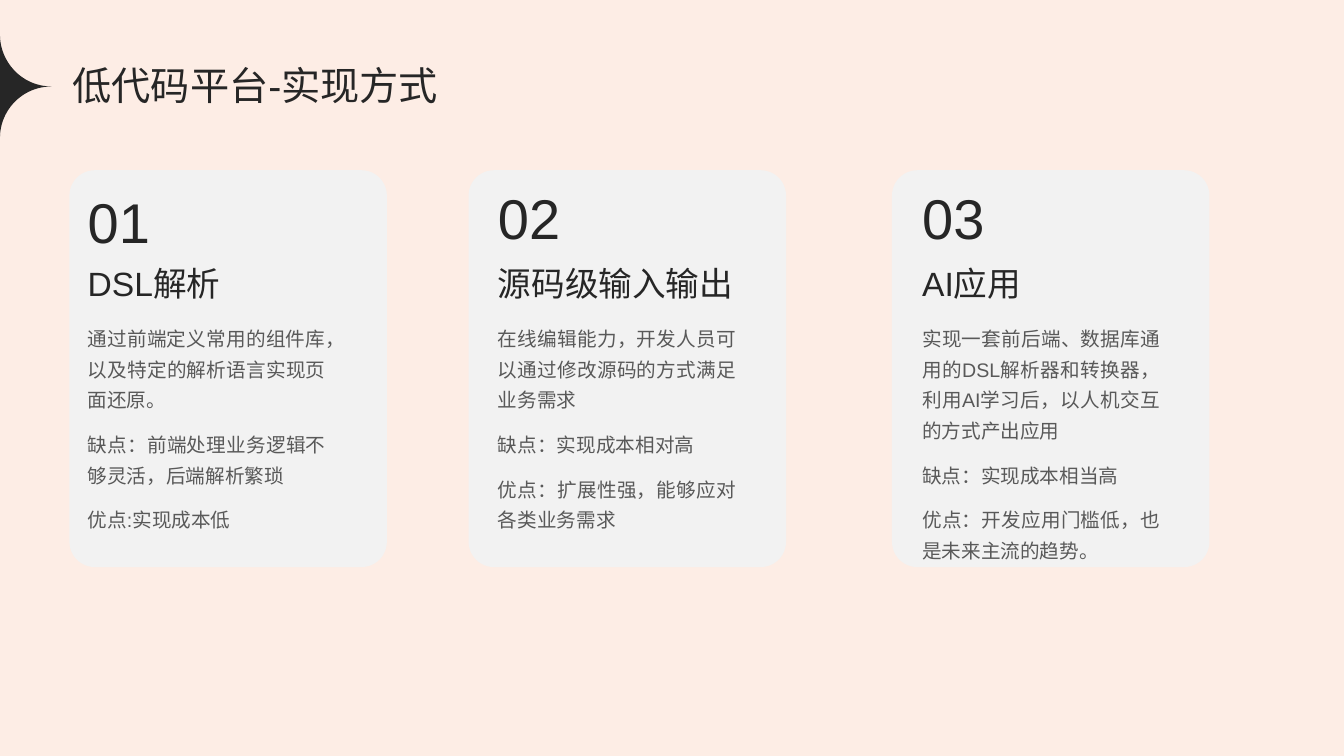
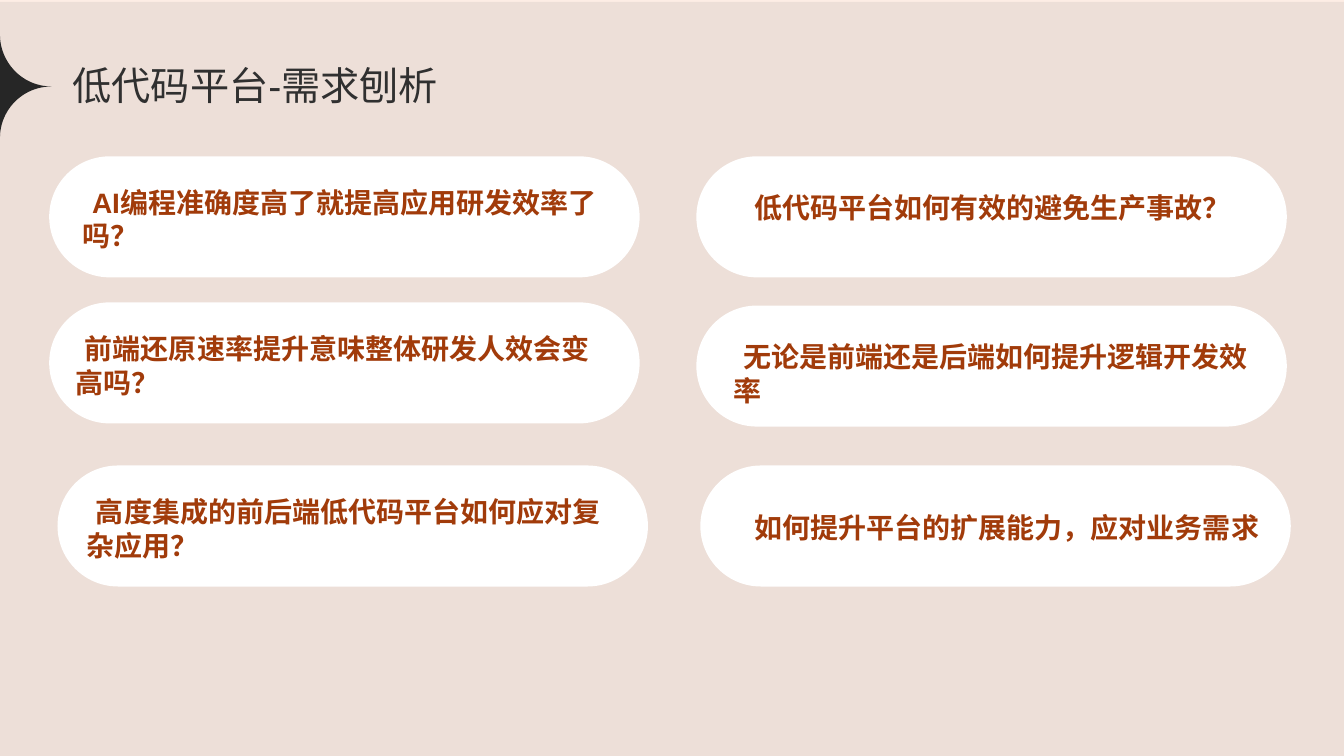
from dataclasses import dataclass

from lxml.etree import SubElement
from pptx import Presentation
from pptx.dml.color import RGBColor
from pptx.enum.lang import MSO_LANGUAGE_ID
from pptx.enum.shapes import MSO_SHAPE
from pptx.enum.text import MSO_ANCHOR, MSO_AUTO_SIZE, PP_ALIGN
from pptx.oxml.ns import qn
from pptx.util import Cm, Pt


@dataclass(frozen=True)
class Theme:
    font: str = "Arial"
    background: str = "FDEDE5"
    ink: str = "262626"
    body: str = "595959"
    accent: str = "A13B0A"
    card: str = "F2F2F2"
    pill: str = "FFFFFF"
    veil: str = "808080"
    title_size: int = 28
    number_size: int = 40
    heading_size: int = 24
    body_size: int = 14
    question_size: int = 20


WIDTH, HEIGHT = 33.87, 19.05
CARD_TOP, CARD_WIDTH, CARD_HEIGHT = 4.29, 8, 10
PILL_WIDTH, PILL_HEIGHT = 14.88, 3.05

# Card left, text left, number top, number, heading, paragraphs
CARDS = [
    (1.75, 2.21, 4.72, "01", "DSL解析", [
        "通过前端定义常用的组件库，以及特定的解析语言实现页面还原。",
        "缺点：前端处理业务逻辑不够灵活，后端解析繁琐",
        "优点:实现成本低"]),
    (11.81, 12.55, 4.62, "02", "源码级输入输出", [
        "在线编辑能力，开发人员可以通过修改源码的方式满足业务需求",
        "缺点：实现成本相对高",
        "优点：扩展性强，能够应对各类业务需求"]),
    (22.48, 23.24, 4.62, "03", "AI应用", [
        "实现一套前后端、数据库通用的DSL解析器和转换器，利用AI学习后，以人机交互的方式产出应用",
        "缺点：实现成本相当高",
        "优点：开发应用门槛低，也是未来主流的趋势。"]),
]

# Pill left and top, text left and top, question
QUESTIONS = [
    (1.24, 3.94, 1.83, 4.45, "AI编程准确度高了就提高应用研发效率了吗？"),
    (1.24, 7.62, 1.65, 8.14, "前端还原速率提升意味整体研发人效会变高吗？"),
    (1.45, 11.73, 1.93, 12.25, "高度集成的前后端低代码平台如何应对复杂应用？"),
    (17.55, 3.94, 18.52, 4.15, "低代码平台如何有效的避免生产事故？"),
    (17.55, 7.7, 18.24, 8.34, "无论是前端还是后端如何提升逻辑开发效率"),
    (17.65, 11.73, 18.52, 12.23, "如何提升平台的扩展能力，应对业务需求"),
]


def bezier(p0, p1, p2, p3, steps=24):
    """Points along a cubic curve, without its start."""
    for i in range(1, steps + 1):
        t = i / steps
        u = 1 - t
        yield tuple(u**3 * a + 3 * u * u * t * b + 3 * u * t * t * c + t**3 * d
                    for a, b, c, d in zip(p0, p1, p2, p3))


class Deck:
    def __init__(self, theme):
        self.theme = theme
        self.prs = Presentation()
        self.prs.slide_width, self.prs.slide_height = Cm(WIDTH), Cm(HEIGHT)
        self.s = None

    def add_slide(self):
        self.s = self.prs.slides.add_slide(self.prs.slide_layouts[5])
        fill = self.s.background.fill
        fill.solid()
        fill.fore_color.rgb = RGBColor.from_string(self.theme.background)

    def paint(self, sp, color, alpha=None):
        sp.shadow.inherit = False
        sp.line.fill.background()
        sp.fill.solid()
        sp.fill.fore_color.rgb = RGBColor.from_string(color)
        if alpha is not None:
            clr = sp.fill._xPr.find(qn("a:solidFill"))[0]
            SubElement(clr, qn("a:alpha")).set("val", str(alpha * 1000))

    def style_text(self, sp, paragraphs, size, color, bold=False,
                   anchor=MSO_ANCHOR.TOP, margins=(0, 0)):
        tf = sp.text_frame
        tf.word_wrap = True
        tf.auto_size = MSO_AUTO_SIZE.NONE
        tf.vertical_anchor = anchor
        tf.margin_left = tf.margin_right = Cm(margins[0])
        tf.margin_top = tf.margin_bottom = Cm(margins[1])
        tf.text = "\n".join(paragraphs)
        for p in tf.paragraphs:
            p.alignment = PP_ALIGN.LEFT
            for r in p.runs:
                font = r.font
                font.name, font.size, font.bold = self.theme.font, Pt(size), bold
                font.language_id = MSO_LANGUAGE_ID.SIMPLIFIED_CHINESE
                font.color.rgb = RGBColor.from_string(color)
                SubElement(font._element, qn("a:ea")).set("typeface", self.theme.font)
        return tf

    def text(self, left, top, width, height, paragraphs, size, color, **style):
        sp = self.s.shapes.add_textbox(Cm(left), Cm(top), Cm(width), Cm(height))
        return self.style_text(sp, paragraphs, size, color, **style)

    def shape(self, kind, left, top, width, height, color, radius=None, alpha=None):
        sp = self.s.shapes.add_shape(kind, Cm(left), Cm(top), Cm(width), Cm(height))
        if radius is not None:
            sp.adjustments[0] = radius
        self.paint(sp, color, alpha)

    def title(self, text):
        sp = self.s.shapes.title
        sp.left, sp.top, sp.width, sp.height = Cm(1.83), Cm(1.45), Cm(14.5), Cm(1.4)
        self.style_text(sp, [text], self.theme.title_size, self.theme.ink,
                        anchor=MSO_ANCHOR.MIDDLE)

    def star(self):
        """Half of a four-pointed star on the left edge."""
        top, tip, bottom = (0, 0.87), (1.3, 2.18), (0, 3.48)
        points = [*bezier(top, (0, 1.59), (0.58, 2.18), tip),
                  *bezier(tip, (0.58, 2.18), (0, 2.76), bottom)]
        builder = self.s.shapes.build_freeform(Cm(top[0]), Cm(top[1]))
        builder.add_line_segments([(Cm(x), Cm(y)) for x, y in points], close=True)
        self.paint(builder.convert_to_shape(), self.theme.ink)

    def card(self, left, text_left, number_top, number, heading, paragraphs):
        th = self.theme
        self.shape(MSO_SHAPE.ROUNDED_RECTANGLE, left, CARD_TOP, CARD_WIDTH,
                   CARD_HEIGHT, th.card, radius=0.08)
        self.text(text_left, number_top, 2.4, 1.7, [number], th.number_size,
                  th.ink, anchor=MSO_ANCHOR.MIDDLE)
        self.text(text_left, 6.62, 6, 1.02, [heading], th.heading_size, th.ink)
        tf = self.text(text_left, 8.07, 6, 6, paragraphs, th.body_size, th.body)
        for p in tf.paragraphs:
            p.alignment = PP_ALIGN.JUSTIFY
            p.line_spacing = 1.3
            p.space_after = Pt(10)

    def question(self, left, top, text_left, text_top, text):
        self.shape(MSO_SHAPE.ROUNDED_RECTANGLE, left, top, PILL_WIDTH,
                   PILL_HEIGHT, self.theme.pill, radius=0.5)
        tf = self.text(text_left, text_top, 13.51, 2.13, [text],
                       self.theme.question_size, self.theme.accent, bold=True,
                       anchor=MSO_ANCHOR.MIDDLE, margins=(0.25, 0.13))
        # First-line indent
        tf.paragraphs[0]._p.get_or_add_pPr().set("indent", str(Cm(0.24)))


def main():
    deck = Deck(Theme())

    # Three ways to build the platform
    deck.add_slide()
    deck.title("低代码平台-实现方式")
    deck.star()
    for card in CARDS:
        deck.card(*card)

    # Questions about the requirements
    deck.add_slide()
    deck.shape(MSO_SHAPE.RECTANGLE, 0, 0.05, WIDTH, HEIGHT - 0.05,
               deck.theme.veil, alpha=12)
    deck.title("低代码平台-需求刨析")
    deck.star()
    for question in QUESTIONS:
        deck.question(*question)

    deck.prs.save("out.pptx")


if __name__ == "__main__":
    main()
